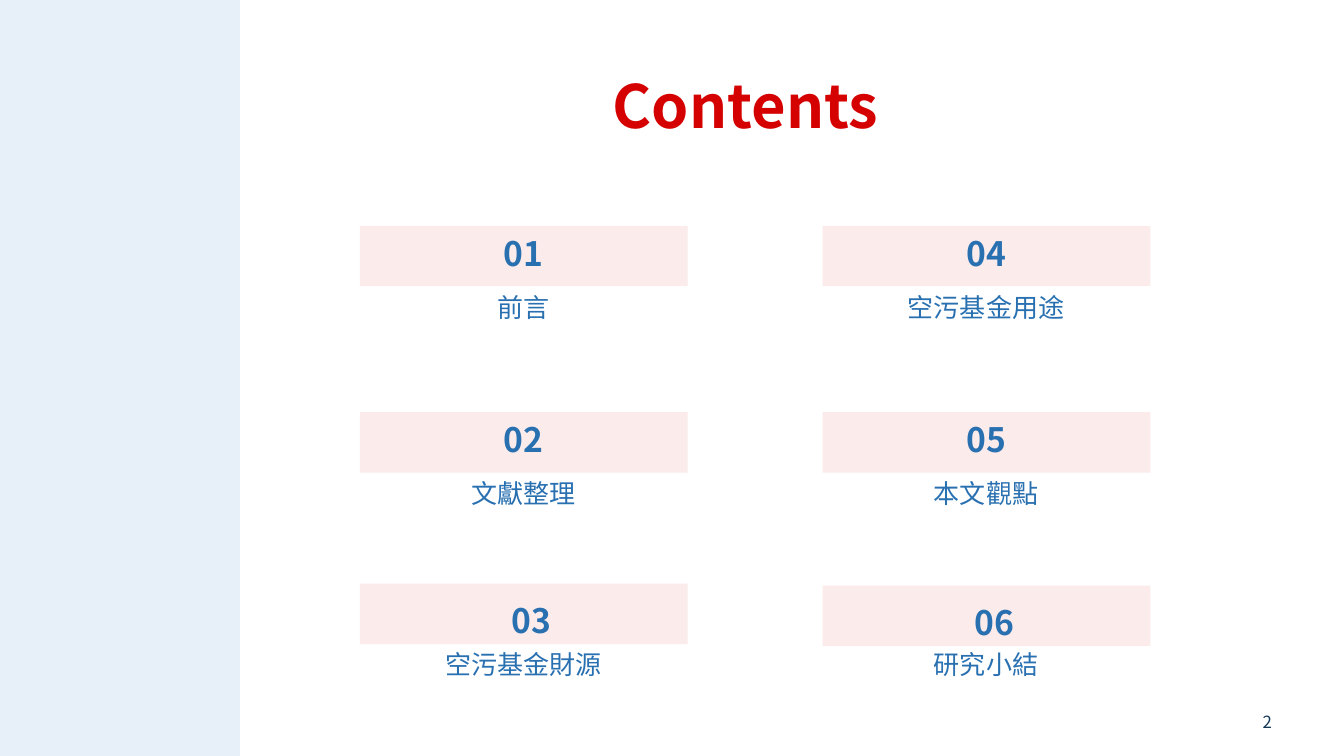
from dataclasses import dataclass
from pptx import Presentation
from pptx.dml.color import RGBColor as Color
from pptx.enum.shapes import MSO_SHAPE as Shape
from pptx.enum.text import MSO_ANCHOR as Anchor, PP_ALIGN as Align
from pptx.oxml.ns import qn
from pptx.util import Inches, Pt


@dataclass(frozen=True)
class Theme:
    font: str = "Noto Sans CJK SC"
    side: str = "E7F0F8"
    band: str = "FBEBEB"
    blue: str = "2970B1"
    red: str = "D50000"
    navy: str = "143858"
    title: float = 42.6
    number: float = 24
    label: float = 18.6
    page: float = 12


THEME = Theme()
ITEMS = ("前言", "文獻整理", "空污基金財源", "空污基金用途", "本文觀點", "研究小結")
LEFTS = (3.57, 8.16)
BANDS = ((2.24, 4.09, 5.79), (2.24, 4.09, 5.81))
LABELS = (2.76, 4.61, 6.3)


def write(shape, text, size, color, bold=False, anchor=Anchor.TOP, inset=0.13):
    frame = shape.text_frame
    frame.text = text
    frame.word_wrap = True
    frame.vertical_anchor = anchor
    frame.margin_left = frame.margin_right = Inches(inset)
    frame.margin_top = frame.margin_bottom = Inches(inset)
    line = frame.paragraphs[0]
    line.alignment = Align.CENTER
    font = line.runs[0].font
    font.name = THEME.font
    font.size = Pt(size)
    font.bold = bold
    font.color.rgb = Color.from_string(color)
    east = font._element.makeelement(qn("a:ea"), {"typeface": THEME.font})
    font._element.find(qn("a:latin")).addnext(east)
    return line


def add_text(slide, box, text, size, color, **style):
    shape = slide.shapes.add_textbox(*map(Inches, box))
    write(shape, text, size, color, **style)


def add_rect(slide, box, color):
    shape = slide.shapes.add_shape(Shape.RECTANGLE, *map(Inches, box))
    shape.shadow.inherit = False
    shape.fill.solid()
    shape.fill.fore_color.rgb = Color.from_string(color)
    shape.line.fill.background()
    return shape


def add_item(slide, box, number, text, drop, last):
    left, top, width, height = box
    band = add_rect(slide, box, THEME.band)
    anchor, inset = (Anchor.TOP, 0.1) if last else (Anchor.BOTTOM, 0.13)
    line = write(band, number, THEME.number, THEME.blue, True, anchor, inset)
    if last:
        line.line_spacing = 1.15
        props = line._p.get_or_add_pPr()
        props.set("marL", str(Inches(0.15)))
        props.set("indent", "0")
    add_text(slide, (left + 0.12, top + drop, width - 0.25, 0.84),
             text, THEME.label, THEME.blue)


def add_grid(slide):
    for index, text in enumerate(ITEMS):
        col, row = divmod(index, len(LABELS))
        top = BANDS[col][row]
        add_item(slide, (LEFTS[col], top, 3.25, 0.6), f"{index + 1:02}",
                 text, LABELS[row] - top, row == len(LABELS) - 1)


def main():
    deck = Presentation()
    deck.slide_width, deck.slide_height = Inches(13.33), Inches(7.5)
    slide = deck.slides.add_slide(deck.slide_layouts[6])
    add_rect(slide, (0, 0, 2.38, 7.5), THEME.side)
    add_text(slide, (2.5, 0.55, 9.79, 0.79), "Contents",
             THEME.title, THEME.red, bold=True)
    add_grid(slide)
    add_text(slide, (11.07, 6.96, 3, 0.4), "2", THEME.page, THEME.navy,
             anchor=Anchor.MIDDLE, inset=0.05)
    deck.save("out.pptx")


if __name__ == "__main__":
    main()
